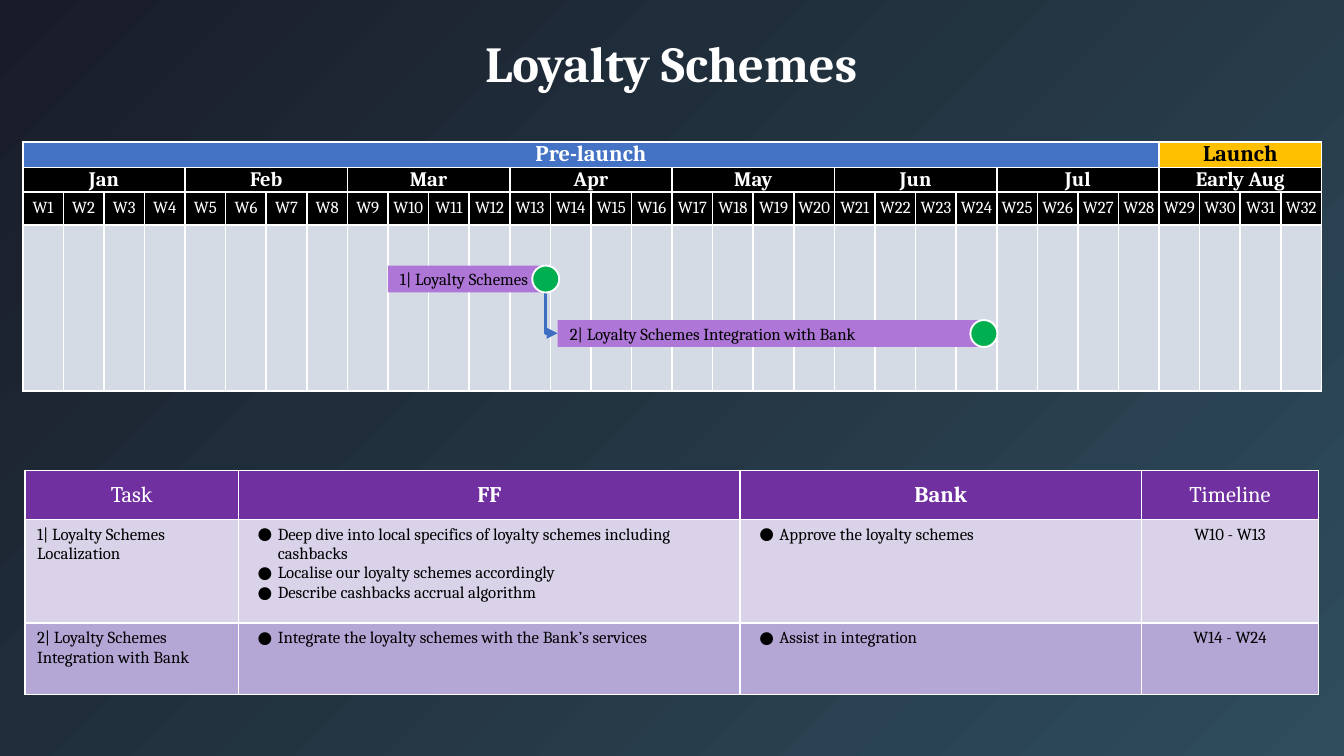
from dataclasses import dataclass

from lxml import etree
from pptx import Presentation
from pptx.dml.color import RGBColor as RGB
from pptx.enum.shapes import MSO_CONNECTOR as CONN, MSO_SHAPE as SHAPE
from pptx.enum.text import MSO_ANCHOR as ANCHOR, PP_ALIGN as ALIGN
from pptx.oxml.ns import qn
from pptx.util import Cm, Pt


@dataclass(frozen=True)
class Theme:
    """Colours, font and type sizes of the slide."""
    font: str = "Cambria"
    white: str = "FFFFFF"
    black: str = "000000"
    bg_from: str = "181C28"
    bg_to: str = "2F4D5C"
    prelaunch: str = "4472C4"
    launch: str = "FFC000"
    grid: str = "D5DBE5"
    bar: str = "AE77D7"
    done: str = "00B050"
    arrow: str = "3E6EC2"
    header: str = "7030A0"
    rows: tuple = ("D9D2E9", "B4A7D6")
    title: int = 27
    heading: int = 12
    month: int = 11
    body: int = 9


T = Theme()
PAD = (0.23, 0.1, 0.23, 0.1)
MONTHS = ["Jan", "Feb", "Mar", "Apr", "May", "Jun", "Jul", "Early Aug"]
WEEKS = 32
TASKS = [
    (["1| Loyalty Schemes Localization"],
     ["Deep dive into local specifics of loyalty schemes including cashbacks",
      "Localise our loyalty schemes accordingly",
      "Describe cashbacks accrual algorithm"],
     ["Approve the loyalty schemes"], ["W10 - W13"]),
    (["2| Loyalty Schemes Integration with Bank"],
     ["Integrate the loyalty schemes with the Bank’s services"],
     ["Assist in integration"], ["W14 - W24"]),
]


def add_xml(parent, tag, **attrs):
    """Append a DrawingML child with the given attributes."""
    child = etree.SubElement(parent, qn(tag))
    for key, value in attrs.items():
        child.set(key, str(value))
    return child


def set_attrs(obj, values):
    """Set each named attribute on the object."""
    for name, value in values.items():
        setattr(obj, name, value)


def margins(pad):
    """Name the four inner margins."""
    names = ("margin_left", "margin_top", "margin_right", "margin_bottom")
    return dict(zip(names, map(Cm, pad)))


def write(tf, lines, size, color, bold=False, align=ALIGN.LEFT, bullet=False):
    """Fill a text frame with one paragraph per line."""
    for i, line in enumerate(lines):
        p = tf.paragraphs[0] if i == 0 else tf.add_paragraph()
        p.alignment = align
        if bullet:
            pPr = p._p.get_or_add_pPr()
            pPr.set("marL", str(Cm(0.51)))
            pPr.set("indent", str(-Cm(0.38)))
            add_xml(add_xml(pPr, "a:buClr"), "a:srgbClr", val=color)
            add_xml(pPr, "a:buFont", typeface=T.font)
            add_xml(pPr, "a:buChar", char="●")
        r = p.add_run()
        r.text = line
        set_attrs(r.font, {"name": T.font, "size": Pt(size), "bold": bold})
        r.font.color.rgb = RGB.from_string(color)


def style_cell(cell, fill, pad=(0, 0, 0, 0), anchor=ANCHOR.MIDDLE):
    """Give a cell white borders, a fill and margins."""
    set_attrs(cell, {**margins(pad), "vertical_anchor": anchor})
    tcPr = cell._tc.get_or_add_tcPr()
    for side in ("a:lnL", "a:lnR", "a:lnT", "a:lnB"):
        ln = add_xml(tcPr, side, w=Pt(1))
        add_xml(add_xml(ln, "a:solidFill"), "a:srgbClr", val=T.white)
    cell.fill.solid()
    cell.fill.fore_color.rgb = RGB.from_string(fill)
    end = cell.text_frame.paragraphs[0]._p.get_or_add_endParaRPr()
    end.set("sz", str(T.body * 100))


def make_table(slide, x, y, widths, heights):
    """Add an unbanded table with the given columns and rows."""
    table = slide.shapes.add_table(len(heights), len(widths), Cm(x), Cm(y),
                                   Cm(sum(widths)), Cm(sum(heights))).table
    set_attrs(table, {"first_row": False, "horz_banding": False})
    for col, w in zip(table.columns, widths):
        col.width = Cm(w)
    for row, h in zip(table.rows, heights):
        row.height = Cm(h)
    return table


def make_shape(slide, kind, x, y, w, h, fill, line=None):
    """Add a flat filled shape."""
    sp = slide.shapes.add_shape(kind, Cm(x), Cm(y), Cm(w), Cm(h))
    sp.shadow.inherit = False
    sp.fill.solid()
    sp.fill.fore_color.rgb = RGB.from_string(fill)
    if line:
        sp.line.color.rgb = RGB.from_string(line)
        sp.line.width = Pt(1)
    else:
        sp.line.fill.background()
    return sp


def title(slide, x, y, w, h):
    """Place the slide title."""
    tf = slide.shapes.add_textbox(Cm(x), Cm(y), Cm(w), Cm(h)).text_frame
    set_attrs(tf, {"word_wrap": True, "vertical_anchor": ANCHOR.MIDDLE,
                   **margins([0.23] * 4)})
    write(tf, ["Loyalty Schemes"], T.title, T.white, True, ALIGN.CENTER)


def timeline(slide, x, y, w):
    """Place the calendar grid by phase, month and week."""
    table = make_table(slide, x, y, [w / WEEKS] * WEEKS, [0.47, 0.46, 0.62, 3.14])
    for row, fill in enumerate((T.prelaunch, T.black, T.black, T.grid)):
        for col in range(WEEKS):
            launch = row == 0 and col >= 28
            style_cell(table.cell(row, col), T.launch if launch else fill)
    spans = [(0, 0, 28, "Pre-launch", T.heading, T.white, True),
             (0, 28, 4, "Launch", T.heading, T.black, True)]
    spans += [(1, 4 * i, 4, m, T.month, T.white, True) for i, m in enumerate(MONTHS)]
    spans += [(2, i, 1, f"W{i + 1}", T.body, T.white, False) for i in range(WEEKS)]
    for row, col, span, text, size, color, bold in spans:
        cell = table.cell(row, col)
        if span > 1:
            cell.merge(table.cell(row, col + span - 1))
        write(cell.text_frame, [text], size, color, bold, ALIGN.CENTER)


def schedule(slide, x, y):
    """Place task bars, their dependency arrow and milestones."""
    bars = [(10.11, 3.38, 8.1, "2| Loyalty Schemes Integration with Bank"),
            (6.9, 2.35, 2.9, "1| Loyalty Schemes")]
    for dx, dy, w, text in bars:
        sp = make_shape(slide, SHAPE.RECTANGLE, x + dx, y + dy, w, 0.51, T.bar)
        set_attrs(sp.text_frame, {"word_wrap": True, "vertical_anchor": ANCHOR.MIDDLE,
                                  **margins(PAD)})
        write(sp.text_frame, [text], T.body, T.black)
    dependency(slide, x + 9.88, y + 2.87, 0.23, 0.76)
    for dx, dy in ((9.63, 2.35), (17.91, 3.38)):
        make_shape(slide, SHAPE.OVAL, x + dx, y + dy, 0.51, 0.51, T.done, T.white)


def dependency(slide, x, y, w, h):
    """Draw an arrow that runs down, then right, in the box."""
    left, top = x + (w - h) / 2, y + (h - w) / 2
    sp = slide.shapes.add_connector(CONN.ELBOW, Cm(left), Cm(top),
                                    Cm(left + h), Cm(top + w))
    sp.line.color.rgb = RGB.from_string(T.arrow)
    sp.line.width = Pt(1.5)
    spPr = sp._element.spPr
    spPr.find(qn("a:prstGeom")).set("prst", "bentConnector2")
    xfrm = spPr.find(qn("a:xfrm"))
    xfrm.set("rot", str(270 * 60000))
    xfrm.set("flipH", "1")
    add_xml(spPr.find(qn("a:ln")), "a:tailEnd", type="triangle")
    add_xml(spPr, "a:effectLst")


def task_table(slide, x, y):
    """Place the table of tasks by party."""
    table = make_table(slide, x, y, [4.04, 9.48, 7.58, 3.35], [0.93, 1.96, 1.35])
    for col, text in enumerate(("Task", "FF", "Bank", "Timeline")):
        cell = table.cell(0, col)
        style_cell(cell, T.header, PAD)
        write(cell.text_frame, [text], T.heading, T.white, col in (1, 2), ALIGN.CENTER)
    for row, (task, fill) in enumerate(zip(TASKS, T.rows), 1):
        for col, lines in enumerate(task):
            cell = table.cell(row, col)
            style_cell(cell, fill, PAD, ANCHOR.TOP)
            write(cell.text_frame, lines, T.body, T.black, bullet=col in (1, 2),
                  align=ALIGN.CENTER if col == 3 else ALIGN.LEFT)


def build():
    """Build and save the slide."""
    prs = Presentation()
    set_attrs(prs, {"slide_width": Cm(25.4), "slide_height": Cm(14.29)})
    slide = prs.slides.add_slide(prs.slide_layouts[6])
    fill = slide.background.fill
    fill.gradient()
    fill.gradient_angle = 315
    for stop, color, pos in zip(fill.gradient_stops, (T.bg_from, T.bg_to), (0, 1)):
        stop.color.rgb = RGB.from_string(color)
        stop.position = pos
    task_table(slide, 0.47, 8.89)
    timeline(slide, 0.43, 2.68, 24.55)
    title(slide, 2.36, 0.51, 20.65, 1.35)
    schedule(slide, 0.43, 2.67)
    prs.save("out.pptx")


build()
